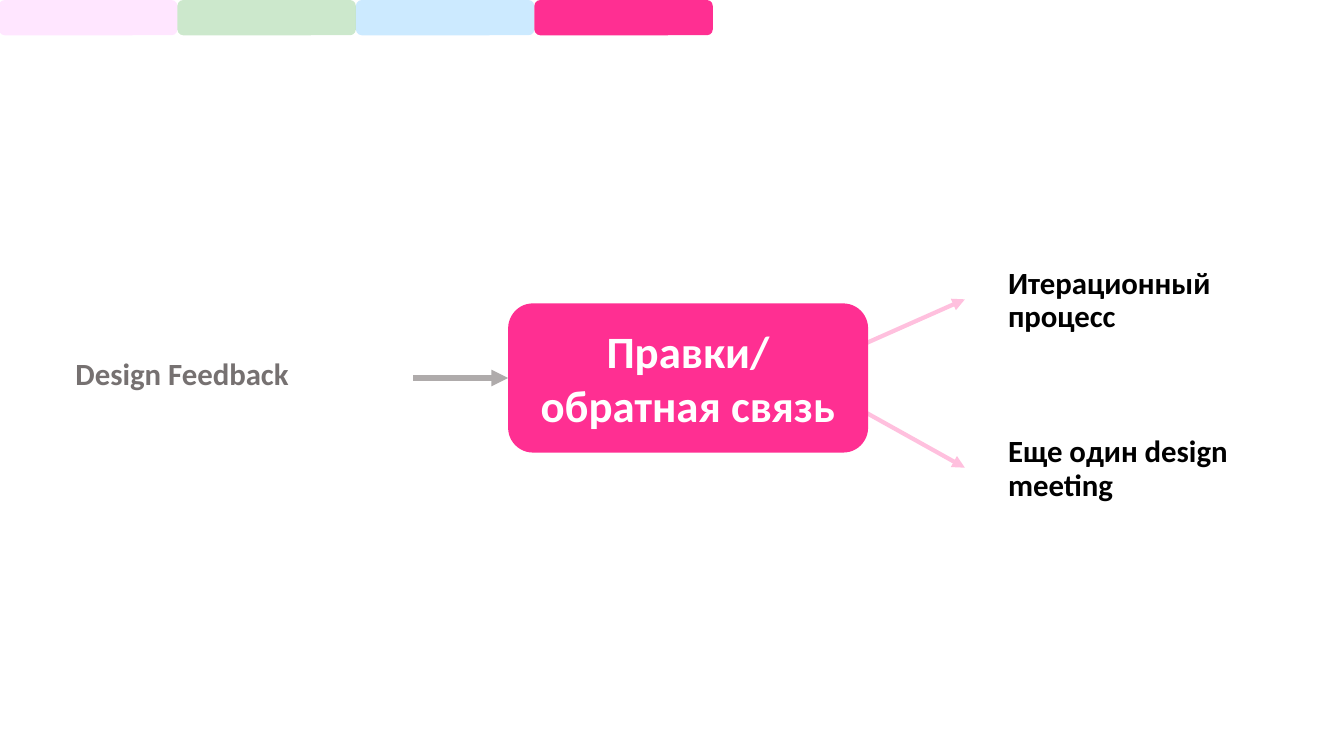
"""Build the design feedback slide: an input, a central step and two outcomes."""
from pptx import Presentation
from pptx.dml.color import RGBColor
from pptx.enum.shapes import MSO_CONNECTOR, MSO_SHAPE
from pptx.enum.text import MSO_ANCHOR, PP_ALIGN
from pptx.oxml.ns import qn
from pptx.util import Inches, Pt
from lxml.etree import SubElement

PINK = RGBColor(0xFF, 0x2F, 0x92)
MAGENTA = RGBColor(0xFF, 0x85, 0xFF)
GREEN = RGBColor(0x00, 0x8F, 0x00)
BLUE = RGBColor(0x00, 0x96, 0xFF)
SILVER = RGBColor(0xAF, 0xAB, 0xAB)
GRAY = RGBColor(0x76, 0x71, 0x71)
BLACK = RGBColor(0, 0, 0)
WHITE = RGBColor(0xFF, 0xFF, 0xFF)


def add_block(x, y, w, h, color, alpha):
    sp = s.shapes.add_shape(MSO_SHAPE.ROUNDED_RECTANGLE, Inches(x), Inches(y), Inches(w), Inches(h))
    sp.shadow.inherit = False
    sp.fill.solid()
    sp.fill.fore_color.rgb = color
    sp.line.fill.background()
    if alpha < 100:
        clr = sp._element.spPr.find(qn("a:solidFill"))[0]
        SubElement(clr, qn("a:alpha"), val=str(alpha * 1000))
    return sp


def write(tf, text, size, color, para_format):
    tf.word_wrap = True
    p = tf.paragraphs[0]
    p.text = text
    for name, value in para_format.items():
        setattr(p, name, value)
    for r in p.runs:
        for name, value in {"name": "Calibri", "size": Pt(size), "bold": True}.items():
            setattr(r.font, name, value)
        r.font.color.rgb = color


prs = Presentation()
prs.slide_width, prs.slide_height = Inches(13.33), Inches(7.5)
s = prs.slides.add_slide(prs.slide_layouts[6])

step = add_block(5.04, 3.01, 3.57, 1.48, PINK, 100)
step.text_frame.vertical_anchor = MSO_ANCHOR.MIDDLE
write(step.text_frame, "Правки/\nобратная связь", 32, WHITE, {"alignment": PP_ALIGN.CENTER})

for i, (color, alpha) in enumerate([(MAGENTA, 20), (GREEN, 20), (BLUE, 20), (PINK, 100)]):
    add_block(-0.01 + 1.77 * i, 0, 1.77, 0.35, color, alpha)

labels = [
    ("Итерационный процесс", 9.9, 2.61, 3.24, 0.7, BLACK, MSO_ANCHOR.TOP),
    ("Еще один design\nmeeting", 9.9, 4.28, 3.24, 0.7, BLACK, MSO_ANCHOR.TOP),
    ("Design Feedback", 0.65, 3.5, 2.33, 0.44, GRAY, MSO_ANCHOR.BOTTOM),
]
for text, x, y, w, h, color, anchor in labels:
    tf = s.shapes.add_textbox(Inches(x), Inches(y), Inches(w), Inches(h)).text_frame
    tf.vertical_anchor = anchor
    write(tf, text, 22, color, {"line_spacing": 0.9, "space_after": Pt(6)})

arrows = [
    (4.1, 3.75, 5.04, 3.75, SILVER, 4, 100),
    (8.6, 3.4, 9.57, 2.97, PINK, 3, 30),
    (8.6, 4.1, 9.57, 4.64, PINK, 3, 30),
]
for x1, y1, x2, y2, color, width, alpha in arrows:
    cx = s.shapes.add_connector(MSO_CONNECTOR.STRAIGHT, Inches(x1), Inches(y1), Inches(x2), Inches(y2))
    cx.line.color.rgb = color
    cx.line.width = Pt(width)
    ln = cx.line._get_or_add_ln()
    if alpha < 100:
        SubElement(ln.find(qn("a:solidFill"))[0], qn("a:alpha"), val=str(alpha * 1000))
    SubElement(ln, qn("a:tailEnd"), type="triangle")
    SubElement(cx._element.spPr, qn("a:effectLst"))
    if color == SILVER:
        cx.end_connect(step, 1)

prs.save("out.pptx")
